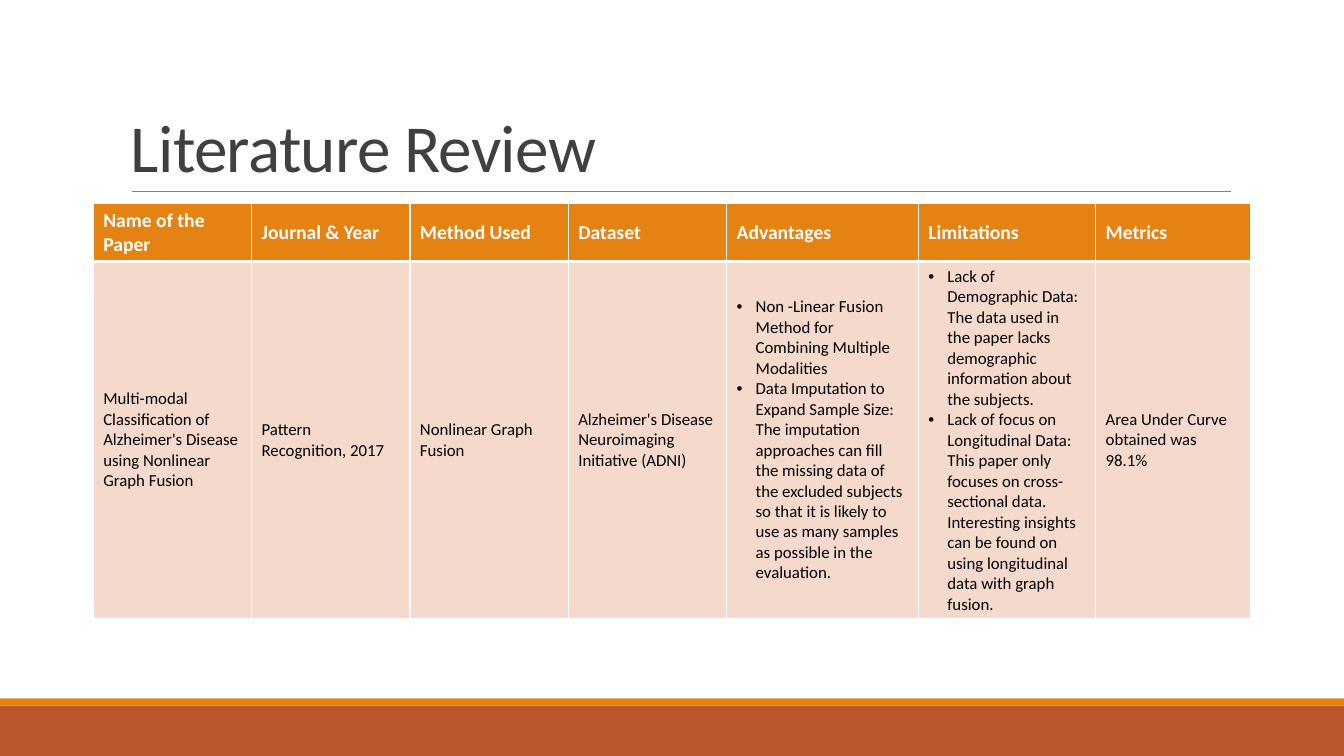
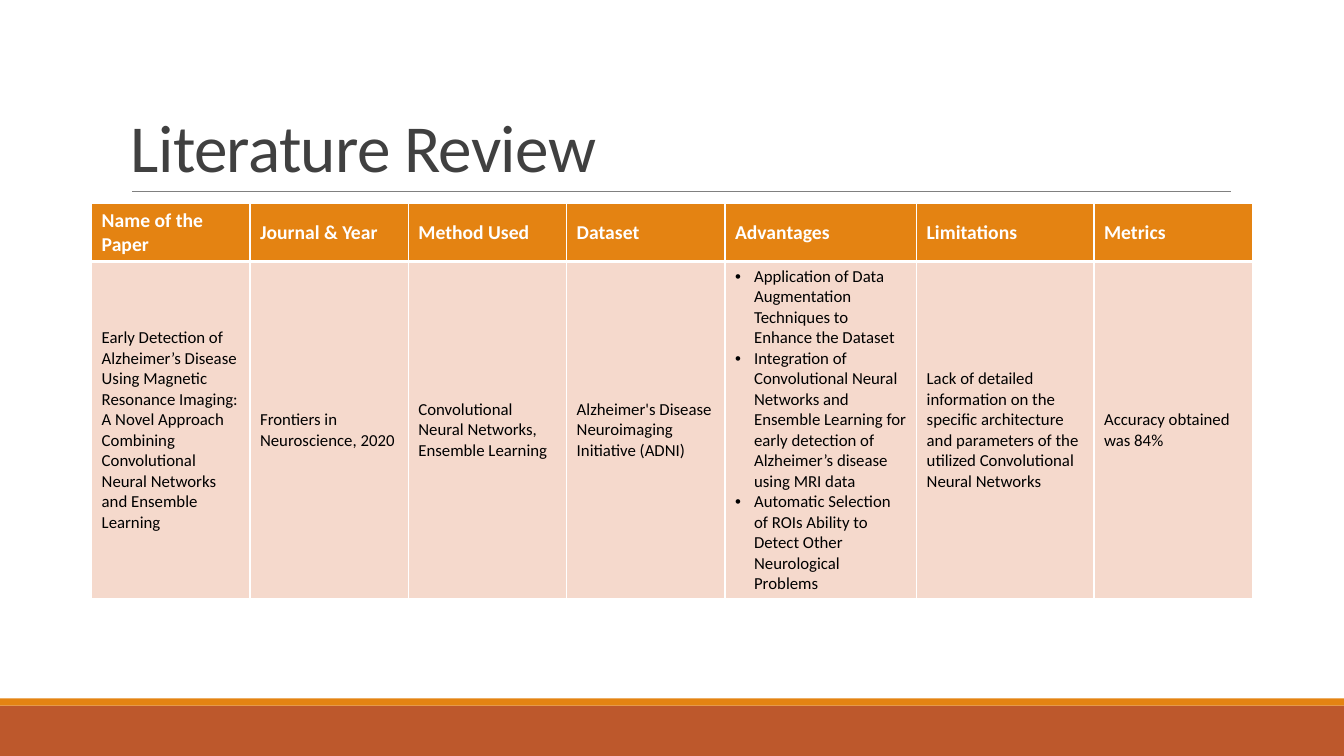
from lxml import etree
from pptx import Presentation
from pptx.dml.color import RGBColor
from pptx.enum.shapes import MSO_CONNECTOR, MSO_SHAPE
from pptx.enum.text import MSO_ANCHOR
from pptx.oxml.ns import qn
from pptx.util import Cm, Pt

LINE = MSO_CONNECTOR.STRAIGHT
RECT = MSO_SHAPE.RECTANGLE
MIDDLE, BOTTOM = MSO_ANCHOR.MIDDLE, MSO_ANCHOR.BOTTOM

WIDE, HIGH = 33.87, 19.05
RUST, AMBER, BLUSH = "BD582C", "E48312", "F5D9CC"
WHITE, BLACK, DARK, GREY = "FFFFFF", "000000", "404040", "808080"
TITLE = {"size": Pt(48), "bold": False}
HEAD = {"size": Pt(14), "bold": True}
BODY = {"size": Pt(12), "bold": False}

LABELS = ["Name of the Paper", "Journal & Year", "Method Used", "Dataset",
          "Advantages", "Limitations", "Metrics"]
DATA = "Alzheimer's Disease Neuroimaging Initiative (ADNI)"
# Each review: width of the last column, height of the body row, cells.
# A list in a cell is shown as bullets.
REVIEWS = [
    (3.91, 9, [
        "Multi-modal Classification of Alzheimer's Disease using Nonlinear "
        "Graph Fusion",
        "Pattern Recognition, 2017",
        "Nonlinear Graph Fusion",
        DATA,
        ["Non -Linear Fusion Method for Combining Multiple Modalities",
         "Data Imputation to Expand Sample Size: The imputation approaches "
         "can fill the missing data of the excluded subjects so that it is "
         "likely to use as many samples as possible in the evaluation."],
        ["Lack of Demographic Data: The data used in the paper lacks "
         "demographic information about the subjects.",
         "Lack of focus on Longitudinal Data: This paper only focuses on "
         "cross-sectional data. Interesting insights can be found on using "
         "longitudinal data with graph fusion."],
        "Area Under Curve obtained was 98.1%",
    ]),
    (3.99, 8.5, [
        "Early Detection of Alzheimer’s Disease Using Magnetic Resonance "
        "Imaging: A Novel Approach Combining Convolutional Neural Networks "
        "and Ensemble Learning",
        "Frontiers in Neuroscience, 2020",
        "Convolutional Neural Networks, Ensemble Learning",
        DATA,
        ["Application of Data Augmentation Techniques to Enhance the Dataset",
         "Integration of Convolutional Neural Networks and Ensemble Learning "
         "for early detection of Alzheimer’s disease using MRI data",
         "Automatic Selection of ROIs Ability to Detect Other Neurological "
         "Problems"],
        "Lack of detailed information on the specific architecture and "
        "parameters of the utilized Convolutional Neural Networks",
        "Accuracy obtained was 84%",
    ]),
]


def color(code):
    return RGBColor.from_string(code)


def add(parent, tag, **attrs):
    return etree.SubElement(parent, qn(tag), attrs)


class Deck:
    """Holds the shared style and the current slide."""
    font = "Calibri"

    def __init__(self):
        self.file = Presentation()
        self.file.slide_width, self.file.slide_height = Cm(WIDE), Cm(HIGH)

    def page(self, title):
        """Start a slide with its bands, rule and title."""
        self.slide = self.file.slides.add_slide(self.file.slide_layouts[6])
        self.band(17.78, 1.27, RUST)
        self.band(17.6, 0.18, AMBER)
        self.rule(3.33, 31.01, 4.83)
        self.title(title)

    def band(self, top, high, fill):
        box = self.slide.shapes.add_shape(
            RECT, 0, Cm(top), Cm(WIDE), Cm(high))
        box.shadow.inherit = False
        box.fill.solid()
        box.fill.fore_color.rgb = color(fill)
        box.line.fill.background()

    def rule(self, left, right, top):
        line = self.slide.shapes.add_connector(
            LINE, Cm(left), Cm(top), Cm(right), Cm(top))
        line.line.color.rgb = color(GREY)
        line.line.width = Pt(0.5)
        add(line._element.spPr, "a:effectLst")

    def text(self, para, words, style, ink):
        run = para.add_run()
        run.text = words
        run.font.name = self.font
        run.font.color.rgb = color(ink)
        for name, value in style.items():
            setattr(run.font, name, value)
        return run

    def title(self, words):
        box = self.slide.shapes.add_textbox(
            Cm(3.05), Cm(0.79), Cm(27.94), Cm(4.04))
        frame = box.text_frame
        frame.word_wrap = True
        frame.vertical_anchor = BOTTOM
        para = frame.paragraphs[0]
        para.line_spacing = 0.85
        run = self.text(para, words, TITLE, DARK)
        run.font._element.set("spc", "-50")

    def bullet(self, para):
        props = para._p.get_or_add_pPr()
        props.set("marL", str(Cm(0.48)))
        props.set("indent", str(-Cm(0.48)))
        add(props, "a:buFont", typeface="Arial")
        add(props, "a:buChar", char="•")

    def border(self, cell, **widths):
        props = cell._tc.get_or_add_tcPr()
        for side, width in widths.items():
            line = add(props, "a:ln" + side, w=str(Pt(width)))
            add(add(line, "a:solidFill"), "a:srgbClr", val=WHITE)

    def cell(self, cell, content, style, ink, fill, over, under):
        """Fill one table cell; over and under are its border widths."""
        self.border(cell, L=1, R=1, T=over, B=under)
        cell.fill.solid()
        cell.fill.fore_color.rgb = color(fill)
        cell.vertical_anchor = MIDDLE
        frame = cell.text_frame
        listed = isinstance(content, list)
        for i, words in enumerate(content if listed else [content]):
            para = frame.add_paragraph() if i else frame.paragraphs[0]
            if listed:
                self.bullet(para)
            self.text(para, words, style, ink)

    def table(self, top, cols, highs, head, body):
        """Add a table centred on the slide."""
        wide = sum(cols)
        grid = self.slide.shapes.add_table(
            2, len(cols), Cm((WIDE - wide) / 2), Cm(top),
            Cm(wide), Cm(sum(highs))).table
        for col, size in zip(grid.columns, cols):
            col.width = Cm(size)
        for row, size in zip(grid.rows, highs):
            row.height = Cm(size)
        for i, (label, content) in enumerate(zip(head, body)):
            self.cell(grid.cell(0, i), label, HEAD, WHITE, AMBER, 1, 3)
            self.cell(grid.cell(1, i), content, BODY, BLACK, BLUSH, 3, 1)


def main():
    deck = Deck()
    for last, high, body in REVIEWS:
        deck.page("Literature Review")
        cols = [3.99] * 4 + [4.83, 4.47, last]
        deck.table(5.13, cols, [1.46, high], LABELS, body)
    deck.file.save("out.pptx")


if __name__ == "__main__":
    main()
